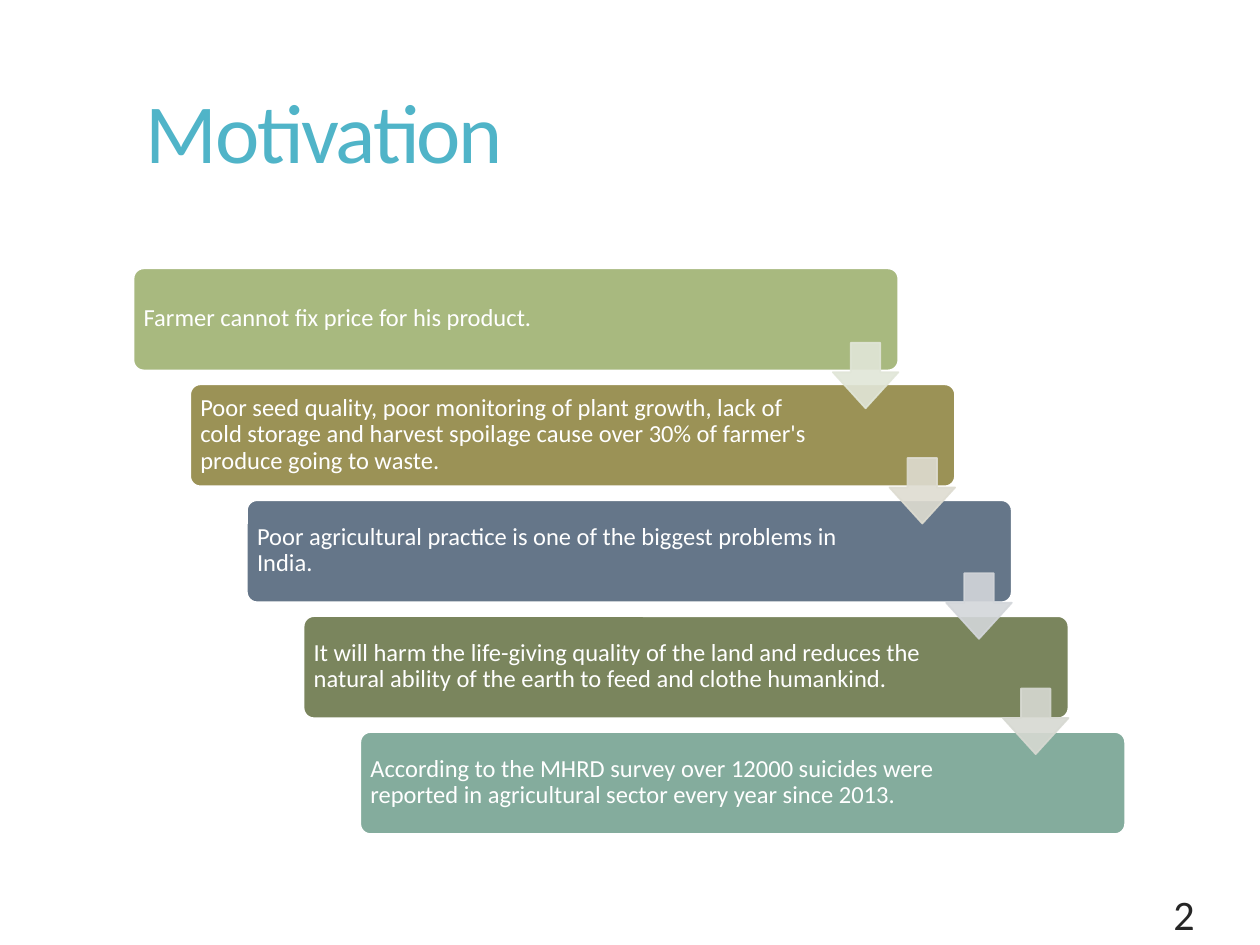
from lxml import etree
from pptx import Presentation
from pptx.dml.color import RGBColor
from pptx.enum.shapes import MSO_SHAPE
from pptx.enum.text import MSO_ANCHOR, PP_ALIGN
from pptx.oxml.ns import qn
from pptx.util import Inches, Pt

ROUNDED = MSO_SHAPE.ROUNDED_RECTANGLE
DOWN_ARROW = MSO_SHAPE.DOWN_ARROW
TOP, MIDDLE, BOTTOM = MSO_ANCHOR.TOP, MSO_ANCHOR.MIDDLE, MSO_ANCHOR.BOTTOM
LEFT, RIGHT = PP_ALIGN.LEFT, PP_ALIGN.RIGHT

FONT = "Calibri"
WHITE = RGBColor(0xFF, 0xFF, 0xFF)
TITLE_BLUE = RGBColor(0x50, 0xB4, 0xC8)
NUMBER_GREY = RGBColor(0x26, 0x26, 0x26)
BAR_COLORS = [
    RGBColor(0xA8, 0xB9, 0x7F),
    RGBColor(0x9B, 0x92, 0x56),
    RGBColor(0x65, 0x76, 0x89),
    RGBColor(0x7A, 0x85, 0x5D),
    RGBColor(0x84, 0xAC, 0x9D),
]
ARROW_COLORS = [
    RGBColor(0xE1, 0xE6, 0xD8),
    RGBColor(0xDE, 0xDC, 0xD1),
    RGBColor(0xD3, 0xD6, 0xDA),
    RGBColor(0xD7, 0xD9, 0xD2),
]
REASONS = [
    "Farmer cannot fix price for his product.",
    "Poor seed quality, poor monitoring of plant growth, lack of cold storage "
    "and harvest spoilage cause over 30% of farmer's produce going to waste.",
    "Poor agricultural practice is one of the biggest problems in India.",
    "It will harm the life-giving quality of the land and reduces the natural "
    "ability of the earth to feed and clothe humankind.",
    "According to the MHRD survey over 12000 suicides were reported in "
    "agricultural sector every year since 2013.",
]
STEP_X, BAR_STEP_Y, ARROW_STEP_Y = 0.45, 0.92, 0.915


def add_text(shapes, box, text, size, color, anchor, align=LEFT, spacing=None, inset=None):
    """Add a wrapped one-run text box and return its run."""
    label = shapes.add_textbox(*map(Inches, box))
    frame = label.text_frame
    frame.word_wrap = True
    frame.vertical_anchor = anchor
    if inset is not None:
        frame.margin_left = frame.margin_right = Inches(inset)
        frame.margin_top = frame.margin_bottom = Inches(inset)
    paragraph = frame.paragraphs[0]
    paragraph.alignment = align
    paragraph.line_spacing = spacing
    run = paragraph.add_run()
    run.text = text
    run.font.name = FONT
    run.font.size = Pt(size)
    run.font.color.rgb = color
    return run


def add_block(shapes, kind, box, adjustments, fill, line):
    """Add a filled and outlined preset shape."""
    block = shapes.add_shape(kind, *map(Inches, box))
    block.shadow.inherit = False
    for index, value in enumerate(adjustments):
        block.adjustments[index] = value
    block.fill.solid()
    block.fill.fore_color.rgb = fill
    block.line.color.rgb = line
    block.line.width = Pt(1)
    return block


def add_title(shapes):
    """Add the tightly spaced slide title."""
    run = add_text(shapes, (1.06, 0.67, 8.36, 1.2), "Motivation", 48, TITLE_BLUE, TOP, spacing=0.9)
    run.font._element.set("spc", "-120")


def add_reason(shapes, index, reason, color):
    """Add one bar of the staircase with its sentence."""
    left, top = 1.06 + index * STEP_X, 2.13 + index * BAR_STEP_Y
    add_block(shapes, ROUNDED, (left, top, 6.07, 0.81), [0.1], color, WHITE)
    add_text(shapes, (left + 0.02, top + 0.02, 5.05, 0.76), reason, 14, WHITE, MIDDLE,
             spacing=0.9, inset=0.06)


def add_step_arrow(shapes, index, color):
    """Add the translucent arrow leading to the next bar."""
    box = (6.61 + index * STEP_X, 2.72 + index * ARROW_STEP_Y, 0.52, 0.52)
    arrow = add_block(shapes, DOWN_ARROW, box, [0.45, 0.55], color, color)
    for rgb in arrow._element.spPr.iter(qn("a:srgbClr")):
        etree.SubElement(rgb, qn("a:alpha")).set("val", "90000")


def main():
    """Build the motivation slide."""
    deck = Presentation()
    deck.slide_width, deck.slide_height = Inches(10), Inches(7.5)
    slide = deck.slides.add_slide(deck.slide_layouts[6])
    add_title(slide.shapes)
    staircase = slide.shapes.add_group_shape().shapes
    for index, (reason, color) in enumerate(zip(REASONS, BAR_COLORS)):
        add_reason(staircase, index, reason, color)
    for index, color in enumerate(ARROW_COLORS):
        add_step_arrow(staircase, index, color)
    add_text(slide.shapes, (7.18, 5.97, 2.4, 1.53), "2", 24, NUMBER_GREY, BOTTOM, align=RIGHT)
    deck.save("out.pptx")


if __name__ == "__main__":
    main()
